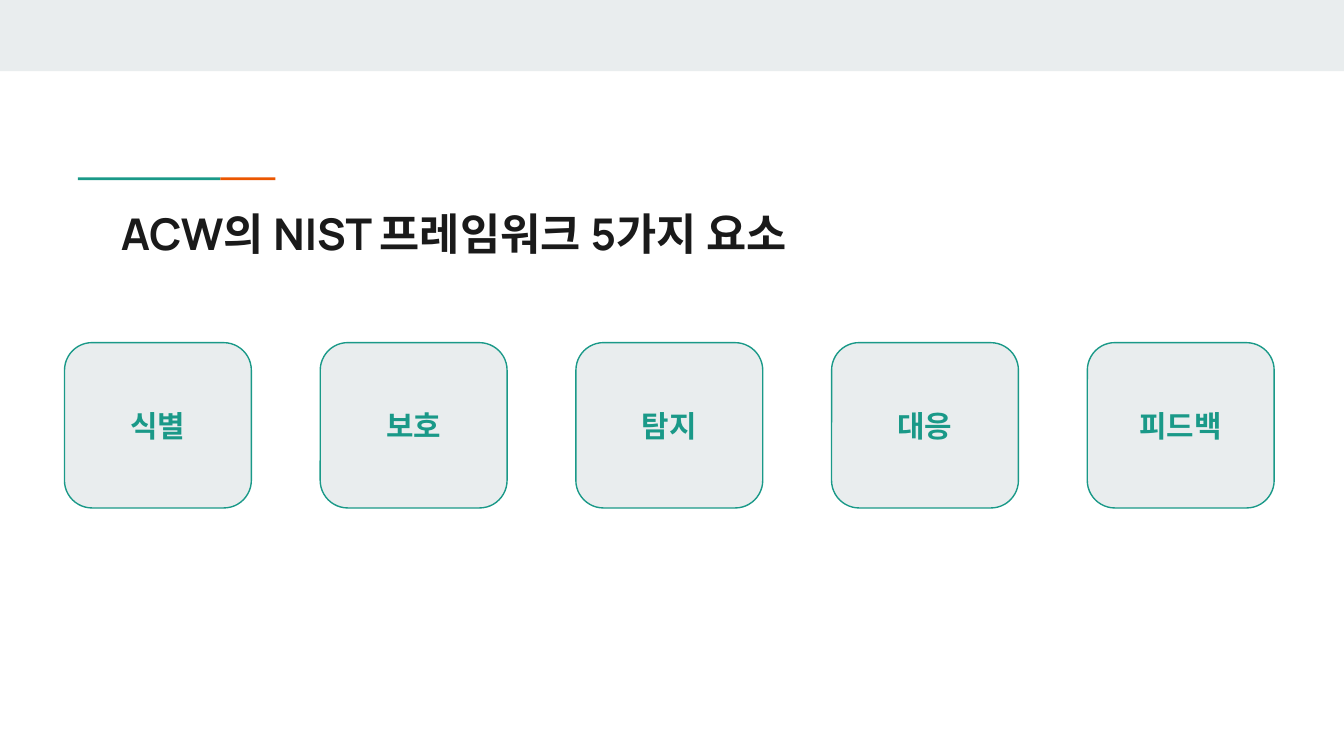
from dataclasses import dataclass

from pptx import Presentation
from pptx.dml.color import RGBColor
from pptx.enum.shapes import MSO_SHAPE
from pptx.enum.text import MSO_ANCHOR, MSO_AUTO_SIZE, PP_ALIGN
from pptx.util import Inches, Pt


@dataclass(frozen=True)
class Theme:
    ink: str = "1A1A1A"
    teal: str = "1A9988"
    orange: str = "EB5600"
    mist: str = "E9EDEE"
    title_font: str = "Manrope"
    card_font: str = "Lato"
    title_size: float = 23.4
    card_size: float = 16


theme = Theme()


def add_panel(page, kind, left, top, width, height, color):
    """Add a filled shape without line or shadow, measured in inches."""
    panel = page.shapes.add_shape(
        kind, Inches(left), Inches(top), Inches(width), Inches(height))
    panel.shadow.inherit = False
    panel.fill.solid()
    panel.fill.fore_color.rgb = RGBColor.from_string(color)
    panel.line.fill.background()
    return panel


def set_text(box, text, font_name, size, color, align, anchor):
    """Write one bold paragraph into a box with even margins."""
    frame = box.text_frame
    frame.word_wrap = True
    frame.auto_size = MSO_AUTO_SIZE.NONE
    frame.vertical_anchor = anchor
    frame.margin_left = frame.margin_right = Inches(0.1)
    frame.margin_top = frame.margin_bottom = Inches(0.1)
    para = frame.paragraphs[0]
    para.text = text
    para.alignment = align
    para.space_before = Pt(0)
    para.font.name = font_name
    para.font.size = Pt(size)
    para.font.bold = True
    para.font.color.rgb = RGBColor.from_string(color)


# Deck and page, 16:9
slide_width = 10
slide_height = slide_width * 9 / 16
deck = Presentation()
deck.slide_width = Inches(slide_width)
deck.slide_height = Inches(slide_height)
page = deck.slides.add_slide(deck.slide_layouts[5])

# Top band
add_panel(page, MSO_SHAPE.RECTANGLE, 0, 0, slide_width, 0.53, theme.mist)

# Two-colour accent above the title
for left, width, color in [(0.58, 1.06, theme.teal), (1.64, 0.41, theme.orange)]:
    add_panel(page, MSO_SHAPE.RECTANGLE, left, 1.32, width, 0.02, color)

# Title
title = page.shapes.title
title.left, title.top = Inches(0.8), Inches(1.44)
title.width, title.height = Inches(8.41), Inches(0.59)
set_text(title, "ACW의 NIST 프레임워크 5가지 요소", theme.title_font,
         theme.title_size, theme.ink, PP_ALIGN.LEFT, MSO_ANCHOR.TOP)

# Row of five element cards
elements = ["식별", "보호", "탐지", "대응", "피드백"]
first_left, card_top, card_width, card_height = 0.48, 2.55, 1.39, 1.23
column_step = (8.09 - first_left) / (len(elements) - 1)
for column, element in enumerate(elements):
    card = add_panel(page, MSO_SHAPE.ROUNDED_RECTANGLE,
                     first_left + column * column_step, card_top,
                     card_width, card_height, theme.mist)
    card.line.color.rgb = RGBColor.from_string(theme.teal)
    card.line.width = Pt(0.75)
    set_text(card, element, theme.card_font, theme.card_size, theme.teal,
             PP_ALIGN.CENTER, MSO_ANCHOR.MIDDLE)

deck.save("out.pptx")
